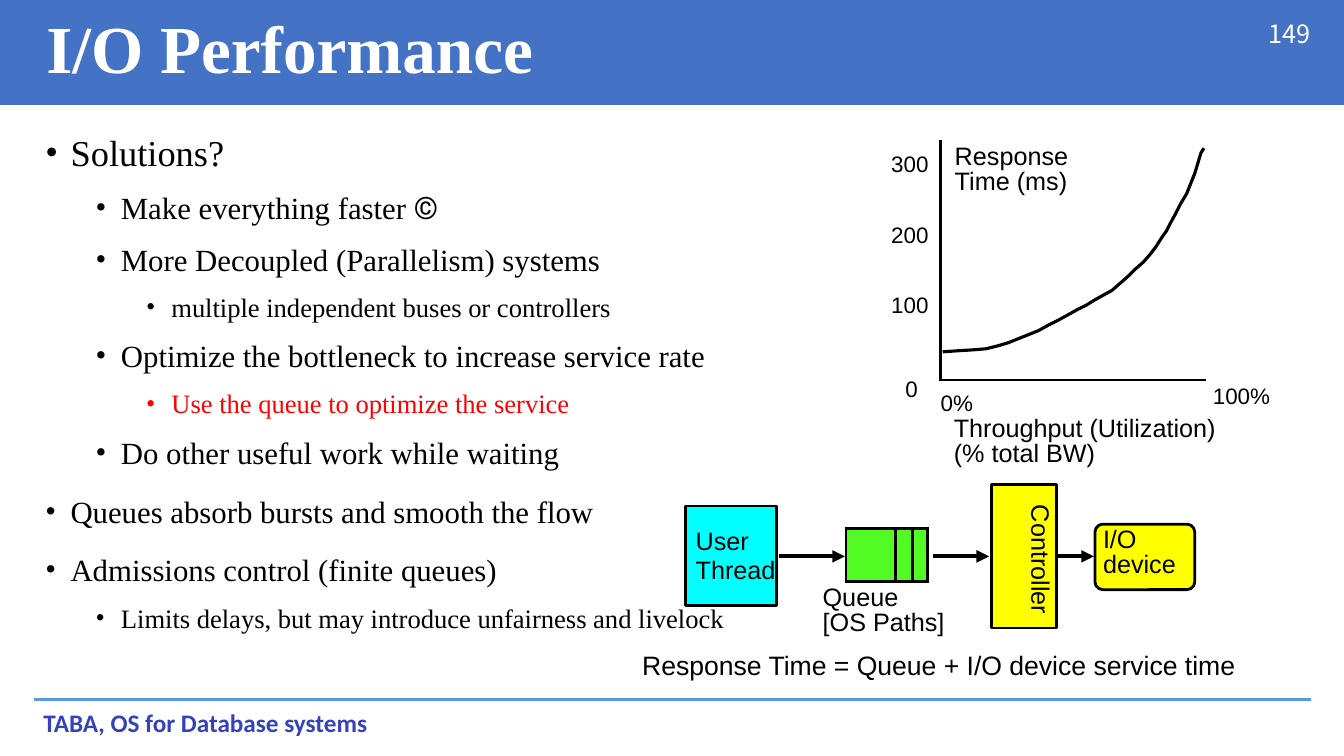
from lxml.etree import SubElement
from pptx import Presentation
from pptx.dml.color import RGBColor
from pptx.enum.shapes import MSO_CONNECTOR as Connector, MSO_SHAPE as Shape
from pptx.enum.text import MSO_ANCHOR as Anchor
from pptx.oxml.ns import qn
from pptx.util import Inches, Pt

SERIF, SANS = "Times New Roman", "Arial"
BLACK, WHITE, RED, YELLOW, GREEN = "000000", "FFFFFF", "FF0000", "FFFF00", "53FB25"

HEADINGS = [
    ("149", (12.57, 0.17, 0.46, 0.33), 0.01, 18, "Noto Sans CJK KR", WHITE, False),
    ("I/O Performance", (0.45, 0.05, 11.73, 0.83), 0.01, 48, SERIF, WHITE, True),
    ("TABA, OS for Database systems", (0.42, 7.02, 3.3, 0.33), 0, 18, "Calibri", "3542BC", True),
    ("Response Time = Queue + I/O device service time", (6.36, 6.43, 6.1, 0.34), 0.01, 19, SANS, BLACK, False),
]
BULLET_BOXES = [
    ((0.44, 1.1, 6.7, 3.58), 0.19, [
        (0, "Solutions?", "", 26, 0, BLACK),
        (1, "Make everything faster ", "©", 22, 10.7, BLACK),
        (1, "More Decoupled (Parallelism) systems", "", 22, 10.6, BLACK),
        (2, "multiple independent buses or controllers", "", 19, 9.7, BLACK),
        (1, "Optimize the bottleneck to increase service rate", "", 22, 10.2, BLACK),
        (2, "Use the queue to optimize the service", "", 19, 9.5, RED),
        (1, "Do other useful work while waiting", "", 22, 10.2, BLACK),
    ]),
    ((0.44, 4.67, 5.6, 1.17), 0.22, [
        (0, "Queues absorb bursts and smooth the flow", "", 22, 0, BLACK),
        (0, "Admissions control (finite queues)", "", 22, 14.6, BLACK),
    ]),
    ((0.94, 5.96, 6.4, 0.34), 0.01, [
        (0, "Limits delays, but may introduce unfairness and livelock", "", 19, 0, BLACK),
    ]),
]
CAPTIONS = [
    ("Queue [OS Paths]", (8.15, 5.76, 1.24, 0.58)),
    ("I/O device", (10.93, 5.18, 0.75, 0.58)),
    ("Response Time (ms)", (9.46, 1.38, 1.2, 0.58)),
    ("Throughput (Utilization) (% total BW)", (9.45, 4.08, 2.75, 0.58)),
]
RESPONSE_TICKS = [300, 200, 100]
CORNER_TICKS = [("0", 8.97, 3.71, 0.15), ("0%", 9.32, 3.85, 0.35), ("100%", 12.02, 3.78, 0.6)]
AXES = [(9.33, 3.78, 9.33, 1.39), (9.34, 3.77, 11.96, 3.77)]
RESPONSE_CURVE = [
    (9.35, 3.49), (9.5, 3.48), (9.66, 3.47), (9.78, 3.46), (9.9, 3.43), (10, 3.4),
    (10.1, 3.36), (10.2, 3.32), (10.3, 3.28), (10.39, 3.23), (10.49, 3.18), (10.58, 3.13),
    (10.67, 3.08), (10.77, 3.03), (10.85, 2.98), (10.94, 2.93), (11.03, 2.88), (11.11, 2.81),
    (11.19, 2.74), (11.26, 2.67), (11.34, 2.6), (11.41, 2.52), (11.47, 2.44), (11.52, 2.36),
    (11.57, 2.29), (11.61, 2.21), (11.66, 2.12), (11.71, 2.02), (11.77, 1.92), (11.81, 1.82),
    (11.85, 1.72), (11.88, 1.62), (11.91, 1.52), (11.94, 1.47),
]
FLOW_Y = 5.52
FLOW_ARROWS = [(7.73, 8.38), (9.25, 9.81), (10.47, 10.85)]
QUEUE_SLOTS = [0.49, 0.17, 0.15]


def color(hex_code):
    return RGBColor.from_string(hex_code)


def style(paragraph, size, face, hex_code, bold=False):
    for run in paragraph.runs:
        run.font.size = Pt(size)
        run.font.name = face
        run.font.bold = bold
        run.font.color.rgb = color(hex_code)


def prepare(frame, top_inset):
    frame.word_wrap = True
    frame.vertical_anchor = Anchor.TOP
    frame.margin_left = frame.margin_right = frame.margin_bottom = 0
    frame.margin_top = Inches(top_inset)
    return frame


def indent(paragraph, left, first=0):
    props = paragraph._p.get_or_add_pPr()
    props.set("marL", str(Inches(left)))
    props.set("indent", str(Inches(first)))
    props.set("algn", "l")
    return props


def add_text(text, box, top_inset, size, face, hex_code, bold=False, leading=None):
    frame = prepare(slide.shapes.add_textbox(*map(Inches, box)).text_frame, top_inset)
    frame.text = text
    paragraph = frame.paragraphs[0]
    indent(paragraph, 0.01)
    if leading:
        paragraph.line_spacing = Pt(leading)
    style(paragraph, size, face, hex_code, bold)


def add_bullets(box, top_inset, items):
    frame = prepare(slide.shapes.add_textbox(*map(Inches, box)).text_frame, top_inset)
    for number, (level, text, symbol, size, gap, hex_code) in enumerate(items):
        paragraph = frame.add_paragraph() if number else frame.paragraphs[0]
        paragraph.text = text
        paragraph.level = level
        props = indent(paragraph, 0.26 + 0.5 * level, -0.25)
        SubElement(props, qn("a:buFont")).set("typeface", SERIF)
        SubElement(props, qn("a:buChar")).set("char", "•")
        if gap:
            paragraph.space_before = Pt(gap)
        style(paragraph, size, SERIF, hex_code)
        if symbol:
            mark = paragraph.add_run()
            mark.text = symbol
            mark.font.size, mark.font.name = Pt(size), "Roboto"
            mark.font.color.rgb = color(hex_code)


def add_block(kind, box, fill, outline=BLACK):
    block = slide.shapes.add_shape(kind, *map(Inches, box))
    block.shadow.inherit = False
    block.fill.solid()
    block.fill.fore_color.rgb = color(fill)
    if outline:
        block.line.color.rgb = color(outline)
        block.line.width = Pt(2)
    else:
        block.line.fill.background()
    return block


def label_block(block, text, top_inset, left, leading=None):
    frame = prepare(block.text_frame, top_inset)
    frame.text = text
    paragraph = frame.paragraphs[0]
    indent(paragraph, left)
    if leading:
        paragraph.line_spacing = Pt(leading)
    style(paragraph, 18, SANS, BLACK)
    return frame


def add_line(ends, hex_code, width, arrow=False):
    line = slide.shapes.add_connector(Connector.STRAIGHT, *map(Inches, ends))
    line.line.color.rgb = color(hex_code)
    line.line.width = Pt(width)
    if arrow:
        SubElement(line.line._get_or_add_ln(), qn("a:tailEnd")).set("type", "triangle")
    SubElement(line._element.spPr, qn("a:effectLst"))


def add_queue(left, top, height):
    queue = slide.shapes.add_table(1, len(QUEUE_SLOTS), Inches(left), Inches(top),
                                   Inches(sum(QUEUE_SLOTS)), Inches(height)).table
    queue.rows[0].height = Inches(height)
    for column, width in zip(queue.columns, QUEUE_SLOTS):
        column.width = Inches(width)
    for slot in queue.iter_cells():
        slot.margin_left = slot.margin_right = 0
        props = slot._tc.get_or_add_tcPr()
        for side in ("lnL", "lnR", "lnT", "lnB"):
            border = SubElement(props, qn(f"a:{side}"), w=str(Pt(2.25)))
            SubElement(SubElement(border, qn("a:solidFill")), qn("a:srgbClr"), val=BLACK)
        slot.fill.solid()
        slot.fill.fore_color.rgb = color(GREEN)


deck = Presentation()
deck.slide_width, deck.slide_height = Inches(13.33), Inches(7.5)
slide = deck.slides.add_slide(deck.slide_layouts[6])

add_line((0.34, 6.94, 13, 6.94), "5B9BD5", 1.5)
add_block(Shape.RECTANGLE, (0, 0, 13.33, 1.04), "4472C4", None)
for heading in HEADINGS:
    add_text(*heading)
for bullet_box in BULLET_BOXES:
    add_bullets(*bullet_box)

device = add_block(Shape.ROUNDED_RECTANGLE, (10.86, 5.2, 0.99, 0.65), YELLOW)
device.adjustments[0] = 0.12
user_thread = add_block(Shape.RECTANGLE, (6.8, 5.02, 0.9, 0.99), "00FFFF")
label_block(user_thread, "User Thread", 0.2, 0.1, 21)
add_queue(8.39, 5.24, 0.53)
controller = add_block(Shape.RECTANGLE, (9.83, 4.81, 0.65, 1.42), YELLOW)
controller_label = label_block(controller, "Controller", 0.15, 0.05)
controller_label._txBody.bodyPr.set("vert", "vert")
for start, end in FLOW_ARROWS:
    add_line((start, FLOW_Y, end, FLOW_Y), BLACK, 3, True)

for axis in AXES:
    add_line(axis, BLACK, 2)
for caption, box in CAPTIONS:
    add_text(caption, box, 0.06, 18, SANS, BLACK, leading=18)
for row, tick in enumerate(RESPONSE_TICKS):
    add_text(str(tick), (8.83, 1.48 + 0.7 * row, 0.4, 0.29), 0.01, 16, SANS, BLACK)
for tick, left, top, width in CORNER_TICKS:
    add_text(tick, (left, top, width, 0.29), 0.01, 16, SANS, BLACK)

curve_points = [(Inches(x), Inches(y)) for x, y in RESPONSE_CURVE]
builder = slide.shapes.build_freeform(*curve_points[0])
builder.add_line_segments(curve_points[1:], close=False)
curve = builder.convert_to_shape()
curve.shadow.inherit = False
curve.fill.background()
curve.line.color.rgb = color(BLACK)
curve.line.width = Pt(2.25)

deck.save("out.pptx")
